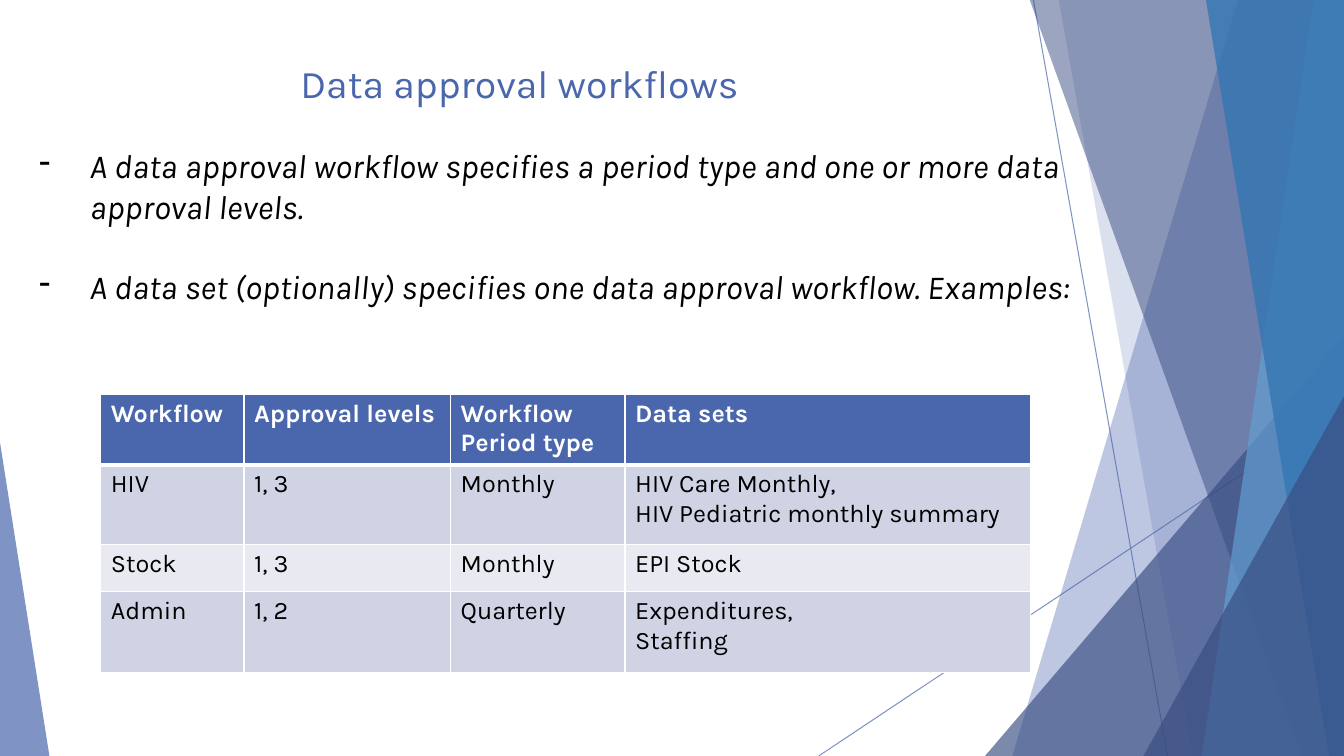
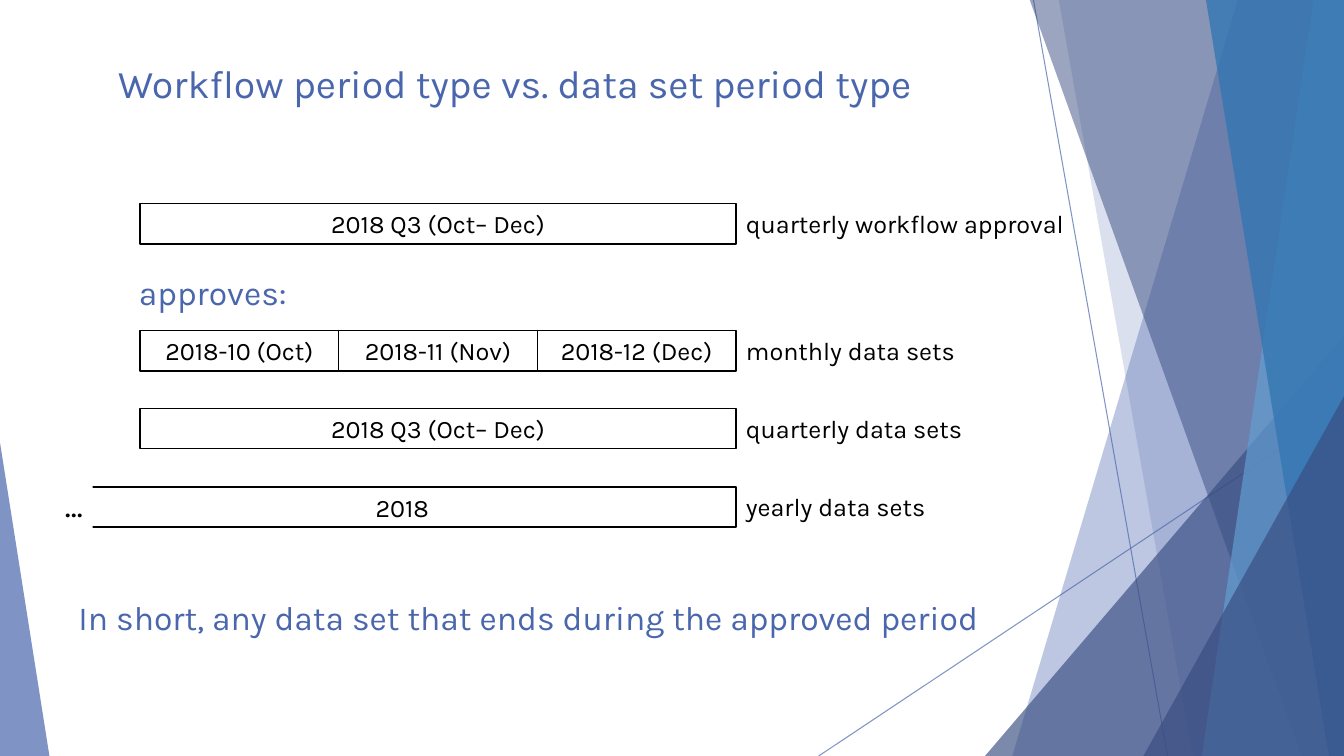
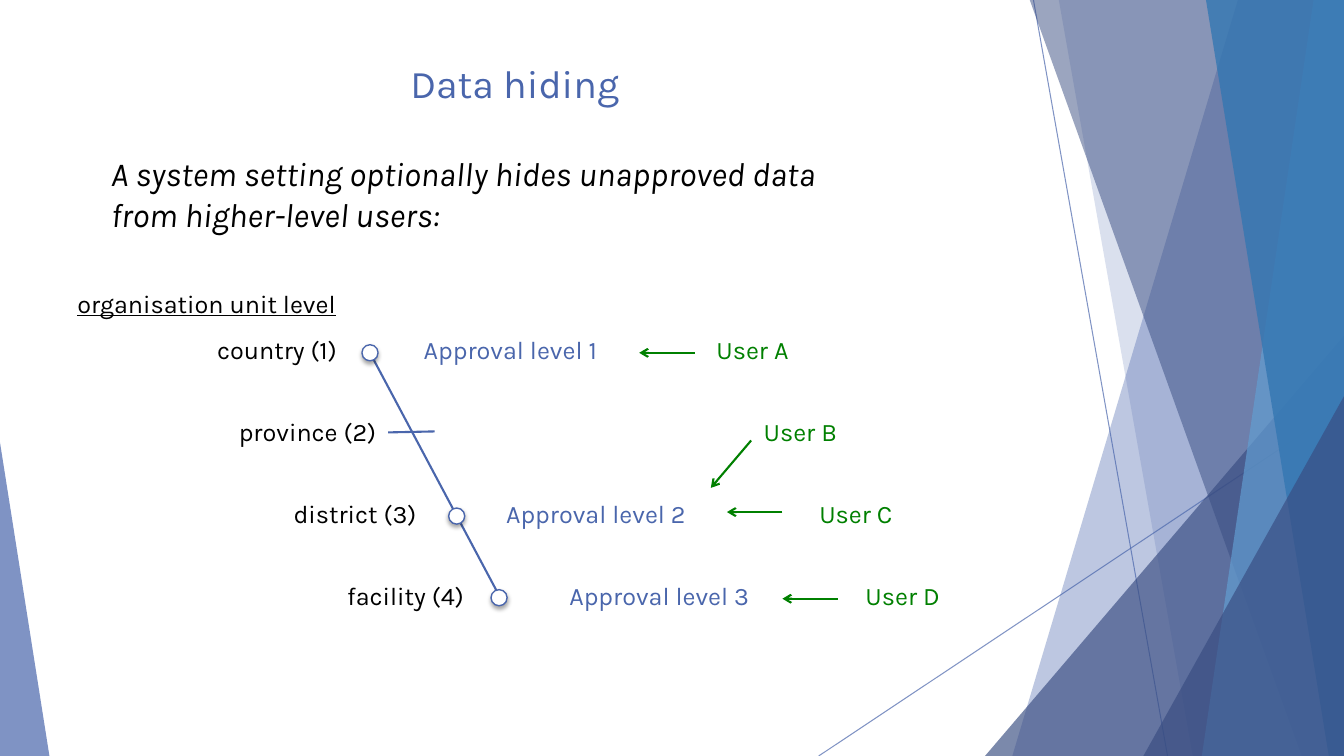
"""Build three slides on data approval workflows."""
import dataclasses
import typing

import lxml.etree
import pptx
import pptx.dml.color
import pptx.enum.shapes
import pptx.enum.text
import pptx.oxml.ns
import pptx.util

RGB = pptx.dml.color.RGBColor
ALIGN = pptx.enum.text.PP_ALIGN
ANCHOR = pptx.enum.text.MSO_ANCHOR
SHAPE = pptx.enum.shapes.MSO_SHAPE
LEFT, MID, RIGHT = ALIGN.LEFT, ALIGN.CENTER, ALIGN.RIGHT

BLUE = RGB(0x4A, 0x66, 0xAC)
NAVY = RGB(0x38, 0x4C, 0x81)
SKY = RGB(0x62, 0x9D, 0xD1)
TEAL = RGB(0x34, 0x77, 0xB2)
BLACK = RGB(0, 0, 0)
WHITE = RGB(255, 255, 255)
GREEN = RGB(0, 0x80, 0)
DARK = RGB(0xD0, 0xD3, 0xE3)
PALE = RGB(0xE9, 0xEA, 0xF1)

FONT = "Karla"
SCALE = 9144
WIDE, HIGH = 1333, 750


@dataclasses.dataclass(frozen=True)
class Band:
    points: tuple[tuple[int, int], ...]
    color: RGB
    alpha: int


@dataclasses.dataclass(frozen=True)
class Wedge:
    x: int
    y: int
    w: int
    h: int
    tip: int
    color: RGB
    alpha: int


@dataclasses.dataclass(frozen=True)
class Rule:
    x1: int
    y1: int
    x2: int
    y2: int
    color: RGB = BLUE
    width: float = 1.5
    arrow: bool = False
    alpha: int = 100


@dataclasses.dataclass(frozen=True)
class Box:
    text: str
    x: int
    y: int
    w: int
    h: int = 40
    size: int = 18
    color: RGB = BLACK
    align: ALIGN = LEFT
    edge: bool = False
    fill: typing.Optional[RGB] = None
    italic: bool = False
    under: bool = False
    bullet: str = ""
    gap: int = 0


def slant(top: int, base: int, color: RGB, alpha: int) -> Band:
    return Band(((top, -1), (WIDE, -1), (WIDE, HIGH), (base, HIGH)), color, alpha)


DECOR = (
    Rule(1025, 0, 1158, 750, width=0.75, alpha=70),
    Rule(1333, 403, 812, 750, width=0.75, alpha=70),
    slant(1228, 1004, BLUE, 36),
    slant(1050, 1183, BLUE, 20),
    Wedge(977, 333, 356, 417, 1, NAVY, 66),
    slant(1021, 1291, NAVY, 50),
    slant(1303, 1192, SKY, 70),
    slant(1196, 1318, TEAL, 80),
    Wedge(1134, 393, 199, 357, 1, NAVY, 66),
    Wedge(0, 439, 49, 311, 0, BLUE, 70),
)


def px(*sizes: int) -> list[int]:
    return [pptx.util.Emu(size * SCALE) for size in sizes]


def put(item: typing.Any, **form: typing.Any) -> None:
    for key, value in form.items():
        setattr(item, key, value)


def add(node: typing.Any, tag: str, **attrs: str) -> typing.Any:
    return lxml.etree.SubElement(node, pptx.oxml.ns.qn(tag), attrs)


def fade(shape: typing.Any, alpha: int) -> None:
    for node in shape.element.spPr.iter(pptx.oxml.ns.qn("a:srgbClr")):
        add(node, "a:alpha", val=str(alpha * 1000))


def paint(shape: typing.Any, color: typing.Optional[RGB],
          edge: typing.Optional[RGB] = None) -> None:
    shape.shadow.inherit = False
    if color is None:
        shape.fill.background()
    else:
        shape.fill.solid()
        shape.fill.fore_color.rgb = color
    if edge is None:
        shape.line.fill.background()
    else:
        shape.line.color.rgb = edge
        shape.line.width = pptx.util.Pt(1)


def write(frame: typing.Any, text: str, size: int, color: RGB, align: ALIGN = LEFT,
          gap: int = 0, bullet: str = "", **form: typing.Any) -> None:
    for num, line in enumerate(text.split("\n")):
        para = frame.add_paragraph() if num else frame.paragraphs[0]
        para.alignment = align
        if num and gap:
            para.space_before = pptx.util.Pt(gap)
        if bullet:
            prop = para._p.get_or_add_pPr()
            prop.set("marL", "457200")
            prop.set("indent", "-457200")
            add(prop, "a:buChar", char=bullet)
        run = para.add_run()
        run.text = line
        put(run.font, name=FONT, size=pptx.util.Pt(size), **form)
        run.font.color.rgb = color


def draw_box(page: typing.Any, box: Box) -> None:
    spot = px(box.x, box.y, box.w, box.h)
    if box.edge or box.fill is not None:
        shape = page.shapes.add_shape(SHAPE.RECTANGLE, *spot)
        paint(shape, box.fill, BLACK if box.edge else None)
        anchor = ANCHOR.MIDDLE
    else:
        shape = page.shapes.add_textbox(*spot)
        anchor = ANCHOR.TOP
    put(shape.text_frame, word_wrap=True, vertical_anchor=anchor)
    write(shape.text_frame, box.text, box.size, box.color, box.align,
          box.gap, box.bullet, italic=box.italic, underline=box.under)


def draw_rule(page: typing.Any, rule: Rule) -> None:
    kind = pptx.enum.shapes.MSO_CONNECTOR.STRAIGHT
    line = page.shapes.add_connector(kind, *px(rule.x1, rule.y1, rule.x2, rule.y2))
    line.line.color.rgb = rule.color
    line.line.width = pptx.util.Pt(rule.width)
    prop = line.element.spPr
    if rule.arrow:
        add(prop.find(pptx.oxml.ns.qn("a:ln")), "a:tailEnd", type="arrow")
    if rule.alpha < 100:
        fade(line, rule.alpha)
    add(prop, "a:effectLst")


def draw_band(page: typing.Any, band: Band) -> None:
    form = page.shapes.build_freeform(*band.points[0], scale=SCALE)
    form.add_line_segments(band.points[1:], close=True)
    shape = form.convert_to_shape()
    paint(shape, band.color)
    fade(shape, band.alpha)


def draw_wedge(page: typing.Any, wedge: Wedge) -> None:
    spot = px(wedge.x, wedge.y, wedge.w, wedge.h)
    shape = page.shapes.add_shape(SHAPE.ISOSCELES_TRIANGLE, *spot)
    shape.adjustments[0] = wedge.tip
    paint(shape, wedge.color)
    fade(shape, wedge.alpha)


def draw_dot(page: typing.Any, x: int, y: int) -> None:
    shape = page.shapes.add_shape(SHAPE.OVAL, *px(x, y, 16, 16))
    paint(shape, WHITE, BLUE)
    glow = shape.element.spPr.find(pptx.oxml.ns.qn("a:effectLst"))
    cast = add(glow, "a:outerShdw", blurRad="38100", dist="25400",
               dir="5400000", rotWithShape="0")
    add(add(cast, "a:srgbClr", val="000000"), "a:alpha", val="35000")


DRAW = {Rule: draw_rule, Band: draw_band, Wedge: draw_wedge, Box: draw_box}


def draw(page: typing.Any, items: typing.Iterable[typing.Any]) -> None:
    for item in items:
        DRAW[type(item)](page, item)


def dress(page: typing.Any) -> None:
    draw(page, DECOR)
    tree = page.slide_layout.shapes.element
    for shape in list(page.shapes):
        if not shape.is_placeholder:
            tree.append(shape.element)


def head(page: typing.Any, text: str) -> None:
    title = page.shapes.title
    left, top, width, height = px(56, 54, 909, 79)
    put(title, left=left, top=top, width=width, height=height)
    put(title.text_frame, word_wrap=True, vertical_anchor=ANCHOR.TOP)
    write(title.text_frame, text, 28, BLUE, MID)


def border(cell: typing.Any, base: float) -> None:
    prop = cell._tc.get_or_add_tcPr()
    sides = (("a:lnL", 1), ("a:lnR", 1), ("a:lnT", 1), ("a:lnB", base))
    for num, (tag, width) in enumerate(sides):
        line = lxml.etree.Element(pptx.oxml.ns.qn(tag), w=str(int(width * 12700)))
        add(add(line, "a:solidFill"), "a:srgbClr", val=str(WHITE))
        prop.insert(num, line)


def grid(page: typing.Any) -> None:
    cols, tall = (142, 205, 173, 402), (69, 79, 47, 80)
    rows = (
        ("Workflow", "Approval levels", "Workflow\nPeriod type", "Data sets"),
        ("HIV", "1, 3", "Monthly", "HIV Care Monthly,\nHIV Pediatric monthly summary"),
        ("Stock", "1, 3", "Monthly", "EPI Stock"),
        ("Admin", "1, 2", "Quarterly", "Expenditures,\nStaffing"),
    )
    spot = px(100, 391, sum(cols), sum(tall))
    table = page.shapes.add_table(len(rows), len(cols), *spot).table
    for col, width in zip(table.columns, px(*cols)):
        col.width = width
    for num, (row, height, texts) in enumerate(zip(table.rows, px(*tall), rows)):
        row.height = height
        top = num == 0
        for cell, text in zip(row.cells, texts):
            cell.fill.solid()
            cell.fill.fore_color.rgb = BLUE if top else DARK if num % 2 else PALE
            border(cell, 3 if top else 1)
            write(cell.text_frame, text, 18, WHITE if top else BLACK, bold=top)


def flows(page: typing.Any) -> None:
    head(page, " Data approval workflows")
    text = ("A data approval workflow specifies a period type and one or more data "
            "approval levels.\n"
            "A data set (optionally) specifies one data approval workflow. Examples:")
    draw_box(page, Box(text, 29, 139, 1055, 165, 24, italic=True, bullet="-", gap=29))
    grid(page)


def types(page: typing.Any) -> None:
    head(page, "Workflow period type vs. data set period type")
    left, right = 139, 730
    third = (right - left) // 3
    quarter = "2018 Q3 (Oct– Dec)"
    bars = (
        (202, left, (quarter,), "quarterly workflow approval"),
        (328, left, ("2018-10 (Oct)", "2018-11 (Nov)", "2018-12 (Dec)"),
         "monthly data sets"),
        (405, left, (quarter,), "quarterly data sets"),
        (483, 68, ("2018",), "yearly data sets"),
    )
    for y, start, texts, label in bars:
        width = third if len(texts) > 1 else right - start
        for num, text in enumerate(texts):
            draw_box(page, Box(text, start + num * width, y, width, align=MID, edge=True))
        draw_box(page, Box(label, right, y, 339))
    draw(page, (
        Box("approves:", 128, 265, 909, 79, 24, BLUE),
        Box("...", 29, 475, 63, 50, 24, align=RIGHT, fill=WHITE),
        Box("In short, any data set that ends during the approved period",
            68, 587, 929, 50, 24, BLUE),
    ))


def hiding(page: typing.Any) -> None:
    head(page, "Data hiding")
    draw(page, (
        Box("A system setting optionally hides unapproved data\n"
            "from higher-level users:", 100, 147, 1032, 165, 24, italic=True),
        Rule(367, 350, 493, 587),
        Rule(385, 429, 431, 428),
    ))
    for x, y in ((359, 342), (445, 504), (487, 585)):
        draw_dot(page, x, y)
    draw_box(page, Box("organisation unit level", 60, 281, 283, align=RIGHT, under=True))
    tops = (327, 408, 489, 571)
    sets = (
        (BLACK, 166, (("country (1)", 344), ("province (2)", 383),
                      ("district (3)", 423), ("facility (4)", 470))),
        (BLUE, 253, (("Approval level 1", 602), None,
                     ("Approval level 2", 690), ("Approval level 3", 753))),
        (GREEN, 166, (("User A", 792), ("User B", 840),
                      ("User C", 895), ("User D", 942))),
    )
    for color, width, labels in sets:
        for y, label in zip(tops, labels):
            if label:
                text, end = label
                draw_box(page, Box(text, end - width, y, width, color=color, align=RIGHT))
    for x, y in ((689, 350), (776, 508), (831, 594)):
        draw_rule(page, Rule(x, y, x - 55, y, GREEN, arrow=True))
    draw_rule(page, Rule(745, 437, 705, 484, GREEN, arrow=True))


def main() -> None:
    deck = pptx.Presentation()
    deck.slide_width, deck.slide_height = px(WIDE, HIGH)
    layout = deck.slide_layouts[5]
    for num, build in enumerate((flows, types, hiding)):
        page = deck.slides.add_slide(layout)
        if num == 0:
            dress(page)
        build(page)
    deck.save("out.pptx")


if __name__ == "__main__":
    main()
